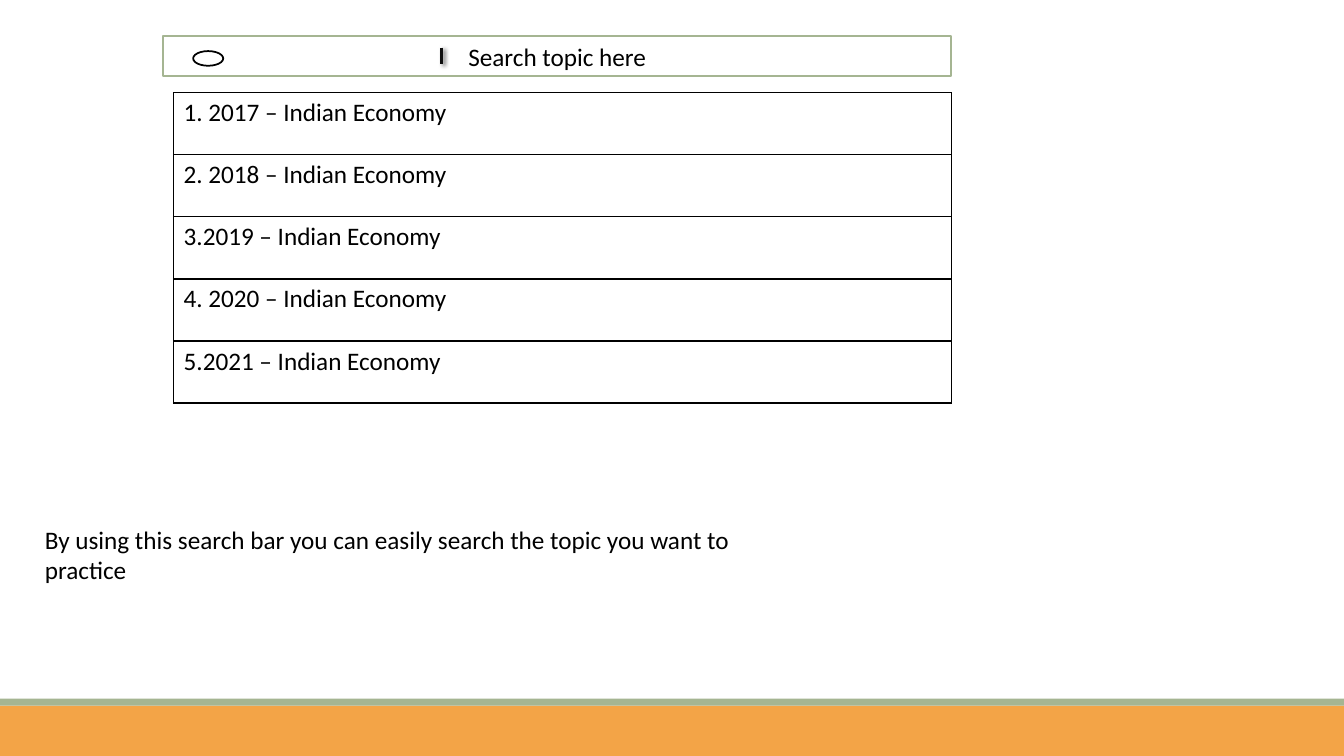
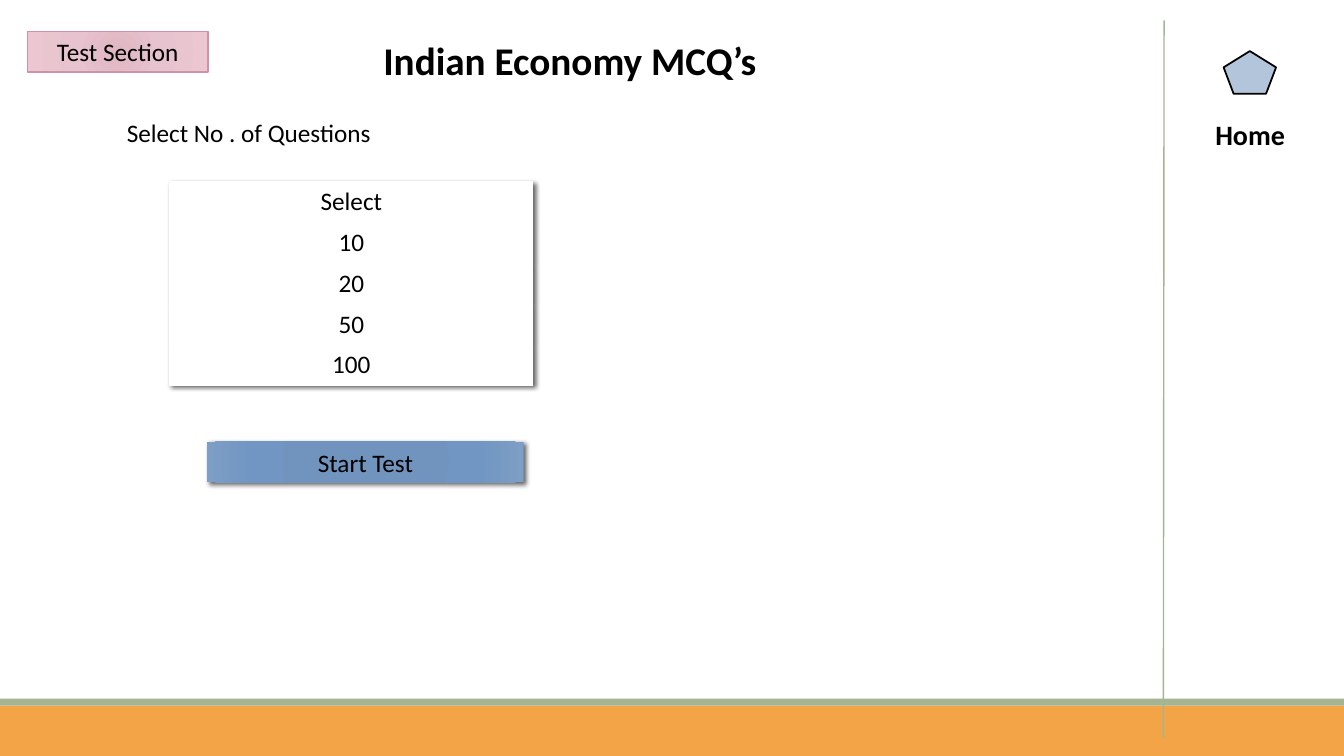
from pptx import Presentation
from pptx.dml.color import RGBColor
from pptx.enum.shapes import MSO_CONNECTOR, MSO_SHAPE
from pptx.enum.text import MSO_ANCHOR, MSO_AUTO_SIZE, PP_ALIGN
from pptx.oxml import parse_xml
from pptx.oxml.ns import nsdecls, qn
from pptx.util import Pt

BLACK, WHITE, GREEN, ORANGE = "000000", "FFFFFF", "A5B592", "F3A447"
PINKS = [(0, "DFB6C3"), (45, "E6C3CE"), (100, "ECC7D2")]
BLUES = [(0, "6E92BE"), (34, "7194BE"), (70, "7196C3"), (100, "7D9EC5")]
PLAIN_TABLE = "{2D5ABB26-0587-4C30-8999-92F81FD0307C}"
TITLE_ONLY, BLANK = 5, 6
LEFT, CENTER = PP_ALIGN.LEFT, PP_ALIGN.CENTER


def color(value):
    return RGBColor.from_string(value)


def effects(blur=0, dist=0):
    shadow = ""
    if blur:
        shadow = (f'<a:outerShdw blurRad="{Pt(blur)}" dist="{Pt(dist)}" dir="2700000" '
                  f'algn="tl" rotWithShape="0"><a:srgbClr val="{BLACK}">'
                  '<a:alpha val="60000"/></a:srgbClr></a:outerShdw>')
    return parse_xml(f'<a:effectLst {nsdecls("a")}>{shadow}</a:effectLst>')


def radial(stops):
    marks = "".join(f'<a:gs pos="{pos * 1000}"><a:srgbClr val="{value}"/></a:gs>'
                    for pos, value in stops)
    return parse_xml(f'<a:gradFill {nsdecls("a")} rotWithShape="1"><a:gsLst>{marks}</a:gsLst>'
                     '<a:path path="circle"><a:fillToRect l="100000" t="100000" '
                     'r="100000" b="100000"/></a:path></a:gradFill>')


def cell_border(side, stroke):
    return parse_xml(f'<a:{side} {nsdecls("a")} w="{Pt(1)}"><a:solidFill>'
                     f'<a:srgbClr val="{stroke}"/></a:solidFill></a:{side}>')


class Deck:
    """Holds the shared style and the current slide; all lengths are points."""

    font, size = "Calibri", 18

    def __init__(self, width, height):
        self.prs = Presentation()
        self.prs.slide_width, self.prs.slide_height = Pt(width), Pt(height)
        self.s = None

    def slide(self, layout):
        self.s = self.prs.slides.add_slide(self.prs.slide_layouts[layout])

    def master_band(self, number, top, height, fill):
        sp = self.shape(MSO_SHAPE.RECTANGLE, 0, top, 960, height, fill)
        sp.element.nvSpPr.cNvPr.set("id", str(100 + number))
        self.prs.slide_master.element.cSld.spTree.insert(2 + number, sp.element)

    def set_text(self, tf, text, align=LEFT, size=None, bold=False):
        tf.text = text
        for p in tf.paragraphs:
            p.alignment = align
            for r in p.runs:
                r.font.name, r.font.size, r.font.bold = self.font, Pt(size or self.size), bold
                r.font.color.rgb = color(BLACK)

    def shape(self, kind, x, y, w, h, fill, line=None, line_width=1.25, text="",
              align=CENTER, inset=7.2, shadow=()):
        sp = self.s.shapes.add_shape(kind, Pt(x), Pt(y), Pt(w), Pt(h))
        sp.shadow.inherit = False
        if isinstance(fill, str):
            sp.fill.solid()
            sp.fill.fore_color.rgb = color(fill)
        else:
            sp.element.spPr.find(qn("a:prstGeom")).addnext(radial(fill))
        if line:
            sp.line.color.rgb, sp.line.width = color(line), Pt(line_width)
        else:
            sp.line.fill.background()
        if shadow:
            sp.element.spPr.replace(sp.element.spPr.find(qn("a:effectLst")), effects(*shadow))
        if text:
            sp.text_frame.margin_left = Pt(inset)
            self.set_text(sp.text_frame, text, align)
        return sp

    def line(self, x1, y1, x2, y2, stroke, width, shadow=()):
        cx = self.s.shapes.add_connector(MSO_CONNECTOR.STRAIGHT, Pt(x1), Pt(y1), Pt(x2), Pt(y2))
        cx.line.color.rgb, cx.line.width = color(stroke), Pt(width)
        cx.element.spPr.append(effects(*shadow))

    def label(self, x, y, w, h, text, **style):
        tf = self.s.shapes.add_textbox(Pt(x), Pt(y), Pt(w), Pt(h)).text_frame
        tf.word_wrap = True
        self.set_text(tf, text, **style)

    def title(self, x, y, w, h, text):
        sp = self.s.shapes.title
        sp.left, sp.top, sp.width, sp.height = Pt(x), Pt(y), Pt(w), Pt(h)
        tf = sp.text_frame
        tf.auto_size, tf.vertical_anchor = MSO_AUTO_SIZE.NONE, MSO_ANCHOR.TOP
        self.set_text(tf, text, CENTER, 28, True)

    def table(self, x, y, w, row_height, texts, align=LEFT, border=None, shadow=()):
        frame = self.s.shapes.add_table(len(texts), 1, Pt(x), Pt(y), Pt(w),
                                        Pt(row_height * len(texts)))
        table = frame.table
        table.first_row = table.horz_banding = False
        tbl = frame.element.graphic.graphicData.tbl
        tbl.tblPr.find(qn("a:tableStyleId")).text = PLAIN_TABLE
        if shadow:
            tbl.tblPr.insert(0, effects(*shadow))
        for row, text in zip(table.rows, texts):
            row.height = Pt(row_height)
            cell = row.cells[0]
            self.set_text(cell.text_frame, text, align)
            cell.fill.solid()
            cell.fill.fore_color.rgb = color(WHITE)
        if border:
            for props in tbl.iter(qn("a:tcPr")):
                for i, side in enumerate(("lnL", "lnR", "lnT", "lnB")):
                    props.insert(i, cell_border(side, border))


deck = Deck(960, 540)

deck.slide(BLANK)
deck.master_band(0, 504, 36, ORANGE)
deck.master_band(1, 499, 5, GREEN)
deck.shape(MSO_SHAPE.RECTANGLE, 116.5, 25.5, 563, 29, WHITE, GREEN,
           text="Search topic here", align=LEFT, inset=218)
deck.shape(MSO_SHAPE.FLOWCHART_CONNECTOR, 138, 36.5, 21.5, 10.5, WHITE, BLACK)
deck.line(315.5, 34, 315.5, 46, "0D0D0D", 2, shadow=(3, 2))
deck.table(124, 66.25, 555.5, 44.35,
           ["1. 2017 – Indian Economy", "2. 2018 – Indian Economy", "3.2019 – Indian Economy",
            "4. 2020 – Indian Economy", "5.2021 – Indian Economy"], border=BLACK)
deck.label(25, 371, 526, 51,
           "By using this search bar you can easily search the topic you want to practice")

deck.slide(TITLE_ONLY)
deck.title(232.5, 22.5, 349, 41, "Indian Economy MCQ’s")
deck.shape(MSO_SHAPE.RECTANGLE, 19.5, 22.5, 129, 29, PINKS, "D092A7", 1, text="Test Section")
deck.label(83.5, 80.5, 274, 29, "Select No . of Questions")
deck.table(121, 129.5, 260, 29.25, ["Select", "10", "20", "50", "100"], CENTER, shadow=(3.5, 2))
deck.shape(MSO_SHAPE.RECTANGLE, 148, 315.5, 226, 29, BLUES, text="Start Test", shadow=(3.5, 2))
deck.line(831.5, 14.5, 831, 527, GREEN, 1)
deck.shape(MSO_SHAPE.REGULAR_PENTAGON, 874, 36.5, 37.5, 30.5, "B3C5DA", BLACK)
deck.label(856, 80.5, 74, 32, "Home", align=CENTER, size=20, bold=True)

deck.prs.save("out.pptx")
